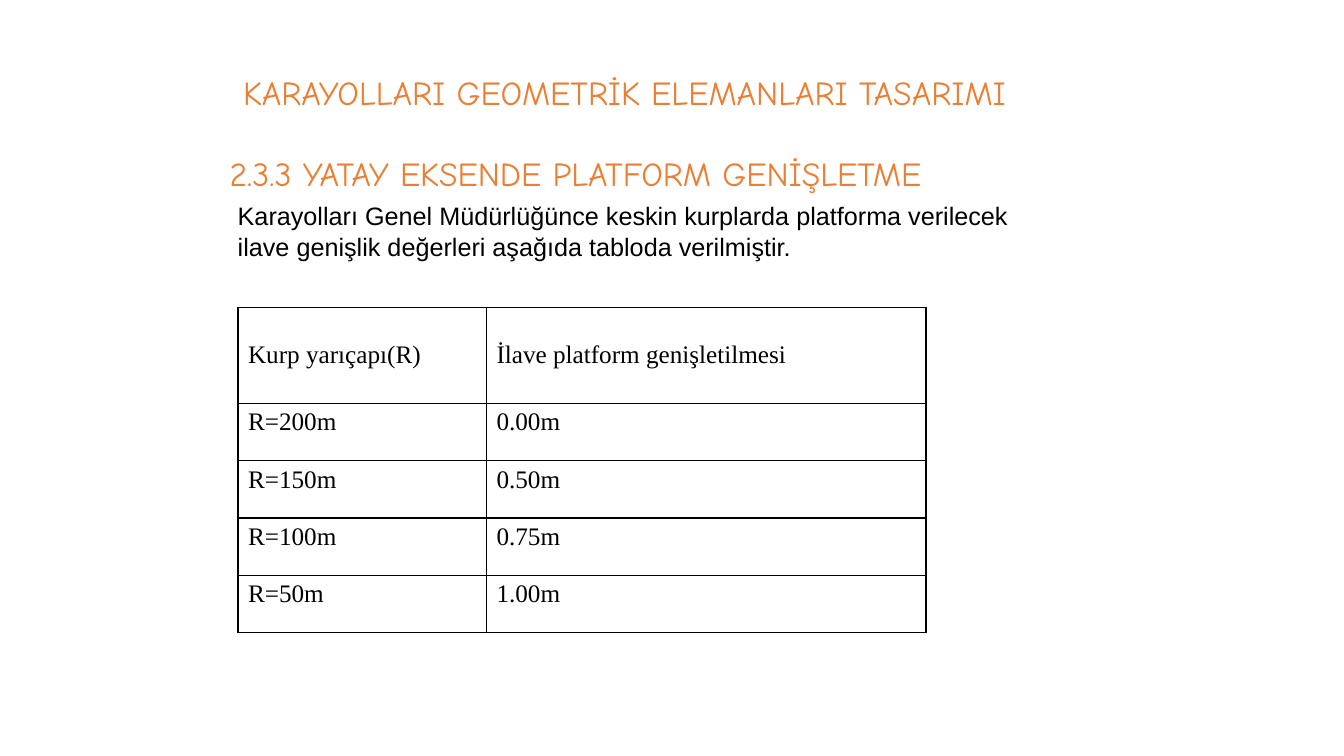
from lxml.etree import SubElement
from pptx import Presentation
from pptx.dml.color import RGBColor
from pptx.enum.text import MSO_ANCHOR, MSO_AUTO_SIZE, PP_ALIGN
from pptx.oxml.ns import qn
from pptx.util import Pt

ORANGE = "ED7D31"
BLACK = "000000"
WHITE = "FFFFFF"
ROWS = [
    ("Kurp yarıçapı(R)", "İlave platform genişletilmesi"),
    ("R=200m", "0.00m"),
    ("R=150m", "0.50m"),
    ("R=100m", "0.75m"),
    ("R=50m", "1.00m"),
]


def rgb(color):
    return RGBColor.from_string(color)


def add_run(p, text, font, size, color):
    r = p.add_run()
    r.text = text
    r.font.name = font
    r.font.size = Pt(size)
    r.font.color.rgb = rgb(color)


def set_margins(target, right):
    target.margin_left = Pt(7.2)
    target.margin_right = Pt(right)
    target.margin_top = target.margin_bottom = Pt(3.6)


def place_text(sp, box, text, font, size, color, anchor, right=7.2):
    sp.left, sp.top, sp.width, sp.height = (Pt(v) for v in box)
    tf = sp.text_frame
    tf.word_wrap = True
    tf.auto_size = MSO_AUTO_SIZE.NONE
    tf.vertical_anchor = anchor
    set_margins(tf, right)
    p = tf.paragraphs[0]
    add_run(p, text, font, size, color)
    return p


def add_text(s, *args, **kwargs):
    sp = s.shapes.add_textbox(0, 0, 0, 0)
    return place_text(sp, *args, **kwargs)


def set_borders(cell, color, width):
    tcPr = cell._tc.get_or_add_tcPr()
    for i, side in enumerate(("a:lnL", "a:lnR", "a:lnT", "a:lnB")):
        ln = tcPr.makeelement(qn(side), {"w": str(Pt(width))})
        fill = SubElement(ln, qn("a:solidFill"))
        SubElement(fill, qn("a:srgbClr"), val=color)
        tcPr.insert(i, ln)


def add_table(s, left, top, widths, heights, rows):
    table = s.shapes.add_table(
        len(rows), len(widths), Pt(left), Pt(top), Pt(sum(widths)), Pt(sum(heights))
    ).table
    table.first_row = table.horz_banding = False
    for column, width in zip(table.columns, widths):
        column.width = Pt(width)
    for i, (values, height) in enumerate(zip(rows, heights)):
        table.rows[i].height = Pt(height)
        for j, value in enumerate(values):
            cell = table.cell(i, j)
            set_margins(cell, 13)
            cell.vertical_anchor = MSO_ANCHOR.TOP if i else MSO_ANCHOR.MIDDLE
            cell.fill.solid()
            cell.fill.fore_color.rgb = rgb(WHITE)
            set_borders(cell, BLACK, 1)
            add_run(cell.text_frame.paragraphs[0], value, "Times New Roman", 18, BLACK)


def main():
    prs = Presentation()
    prs.slide_width, prs.slide_height = Pt(960), Pt(540)
    s = prs.slides.add_slide(prs.slide_layouts[5])

    title = place_text(
        s.shapes.title, (139.7, 28.8, 612.7, 71.3),
        "KARAYOLLARI GEOMETRİK ELEMANLARI TASARIMI",
        "Comic Neue", 24, ORANGE, MSO_ANCHOR.MIDDLE,
    )
    title.alignment = PP_ALIGN.CENTER
    title.line_spacing = 1.1
    add_text(
        s, (157, 105.8, 629.3, 36),
        "2.3.3 YATAY EKSENDE PLATFORM GENİŞLETME",
        "Comic Neue", 24, ORANGE, MSO_ANCHOR.TOP,
    )
    add_text(
        s, (162.7, 139.7, 572.4, 50.4),
        "Karayolları Genel Müdürlüğünce keskin kurplarda platforma verilecek "
        "ilave genişlik değerleri aşağıda tabloda verilmiştir.",
        "Arial", 18, BLACK, MSO_ANCHOR.MIDDLE, right=13,
    )
    add_table(s, 170, 219.6, [177.5, 314], [68.4] + [41] * 4, ROWS)

    prs.save("out.pptx")


if __name__ == "__main__":
    main()
